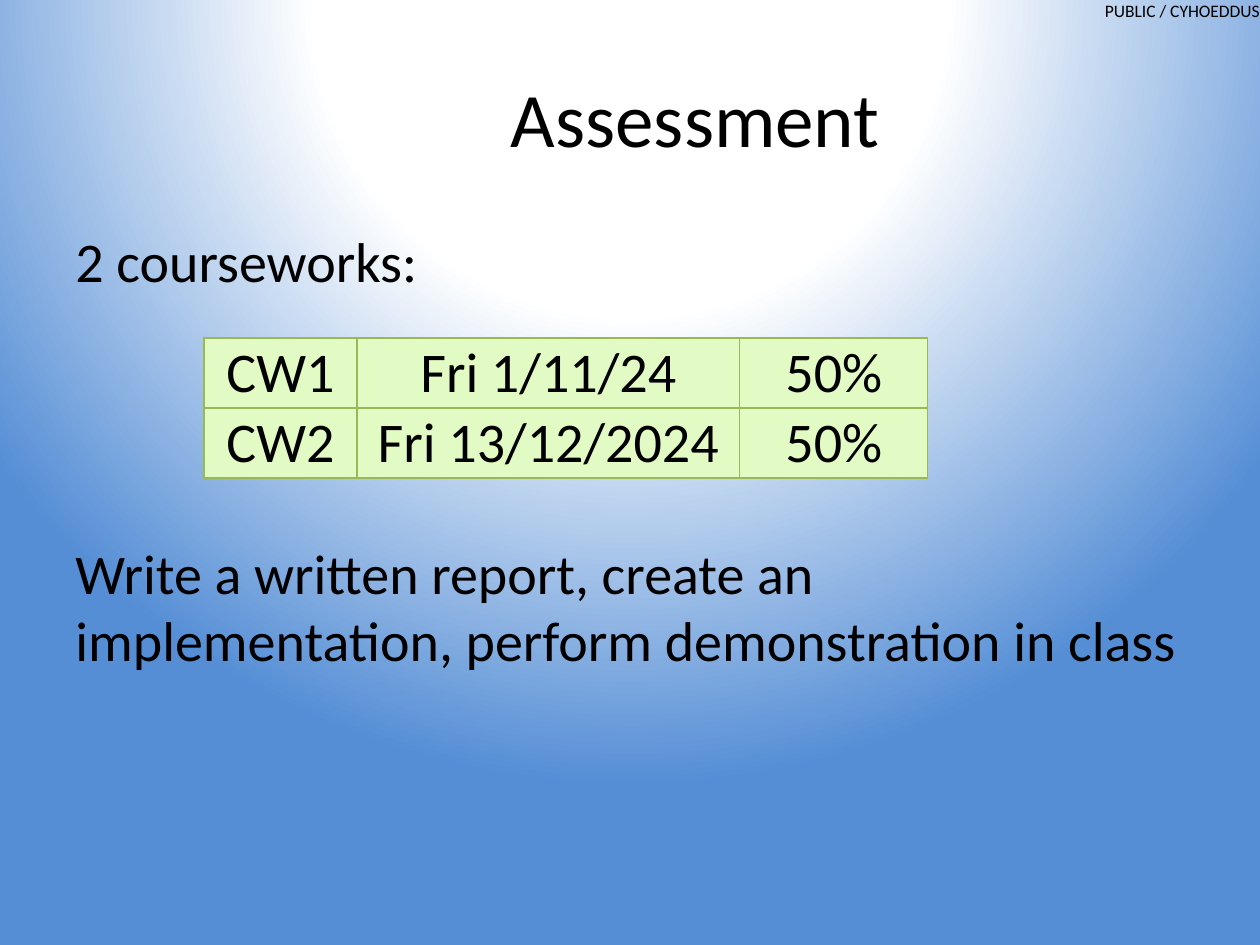
from pptx import Presentation
from pptx.dml.color import RGBColor
from pptx.enum.text import MSO_ANCHOR as Anchor, PP_ALIGN as Align
from pptx.oxml import parse_xml
from pptx.oxml.ns import nsdecls, qn
from pptx.util import Emu, Pt

BLACK = RGBColor(0x00, 0x00, 0x00)
WHITE = RGBColor(0xFF, 0xFF, 0xFF)
BLUE = RGBColor(0x55, 0x8E, 0xD5)
PALE_GREEN = RGBColor(0xE2, 0xFA, 0xC4)
GREEN = RGBColor(0x98, 0xB9, 0x55)

FONT = "Calibri"
BODY_SIZE = 32
COURSEWORKS = [
    ("CW1", "Fri 1/11/24", "50%"),
    ("CW2", "Fri 13/12/2024", "50%"),
]
COLUMN_WIDTHS = (153, 383, 188)
ROW_HEIGHT = 70


def px(length):
    """Turn pixels, 126 to the inch, into EMU."""
    return Emu(round(length * 914400 / 126))


def style_text(frame, size, align=Align.LEFT):
    for para in frame.paragraphs:
        para.alignment = align
        for span in para.runs:
            span.font.name = FONT
            span.font.size = Pt(size)
            span.font.color.rgb = BLACK


def add_text(page, left, top, width, height, text, size, align=Align.LEFT):
    box = page.shapes.add_textbox(px(left), px(top), px(width), px(height))
    frame = box.text_frame
    frame.word_wrap = True
    frame.text = text
    style_text(frame, size, align)
    return frame


def set_radial_background(page):
    """White glow centred above the page, fading to blue."""
    page.background.fill.gradient()
    old = page._element.find(".//" + qn("a:gradFill"))
    stops = "".join(
        f'<a:gs pos="{position * 1000}"><a:srgbClr val="{color}"/></a:gs>'
        for position, color in ((0, WHITE), (40, WHITE), (100, BLUE))
    )
    glow = parse_xml(
        f'<a:gradFill {nsdecls("a")} rotWithShape="1"><a:gsLst>{stops}</a:gsLst>'
        '<a:path path="circle">'
        '<a:fillToRect l="50000" t="-80000" r="50000" b="180000"/>'
        "</a:path></a:gradFill>"
    )
    old.getparent().replace(old, glow)


def add_borders(cell):
    properties = cell._tc.get_or_add_tcPr()
    for index, side in enumerate(("lnL", "lnR", "lnT", "lnB")):
        line = parse_xml(
            f'<a:{side} {nsdecls("a")} w="{Pt(0.75)}"><a:solidFill>'
            f'<a:srgbClr val="{GREEN}"/></a:solidFill></a:{side}>'
        )
        properties.insert(index, line)


def fill_cell(cell, text, anchor):
    cell.text = text
    cell.vertical_anchor = anchor
    cell.margin_left = cell.margin_right = cell.margin_top = px(1)
    cell.margin_bottom = 0
    cell.fill.solid()
    cell.fill.fore_color.rgb = PALE_GREEN
    style_text(cell.text_frame, BODY_SIZE, Align.CENTER)
    add_borders(cell)


def add_coursework_table(page, left, top):
    table = page.shapes.add_table(
        len(COURSEWORKS), len(COLUMN_WIDTHS), px(left), px(top),
        px(sum(COLUMN_WIDTHS)), px(ROW_HEIGHT * len(COURSEWORKS)),
    ).table
    table.first_row = table.horz_banding = False
    for column, width in zip(table.columns, COLUMN_WIDTHS):
        column.width = px(width)
    for row, texts in zip(table.rows, COURSEWORKS):
        row.height = px(ROW_HEIGHT)
        for index, (cell, text) in enumerate(zip(row.cells, texts)):
            fill_cell(cell, text, Anchor.BOTTOM if index else Anchor.MIDDLE)


def main():
    deck = Presentation()
    deck.slide_width, deck.slide_height = px(1260), px(945)
    page = deck.slides.add_slide(deck.slide_layouts[6])
    set_radial_background(page)

    # Classification label
    label = add_text(page, 1105, 0, 159, 21, "PUBLIC / CYHOEDDUS", 10)
    label.word_wrap = False
    label.margin_left = label.margin_right = 0
    label.margin_top = label.margin_bottom = 0

    # Title
    title = add_text(page, 194, 38, 1003, 158, "Assessment", 44, Align.CENTER)
    title.vertical_anchor = Anchor.MIDDLE

    # Body, with room for the table between its paragraphs
    body = add_text(
        page, 63, 220, 1134, 624,
        "2 courseworks:\nWrite a written report, create an implementation, "
        "perform demonstration in class",
        BODY_SIZE,
    )
    body.paragraphs[1].space_before = Pt(140)

    # Coursework dates and weights
    add_coursework_table(page, 204, 338)

    deck.save("out.pptx")


if __name__ == "__main__":
    main()
